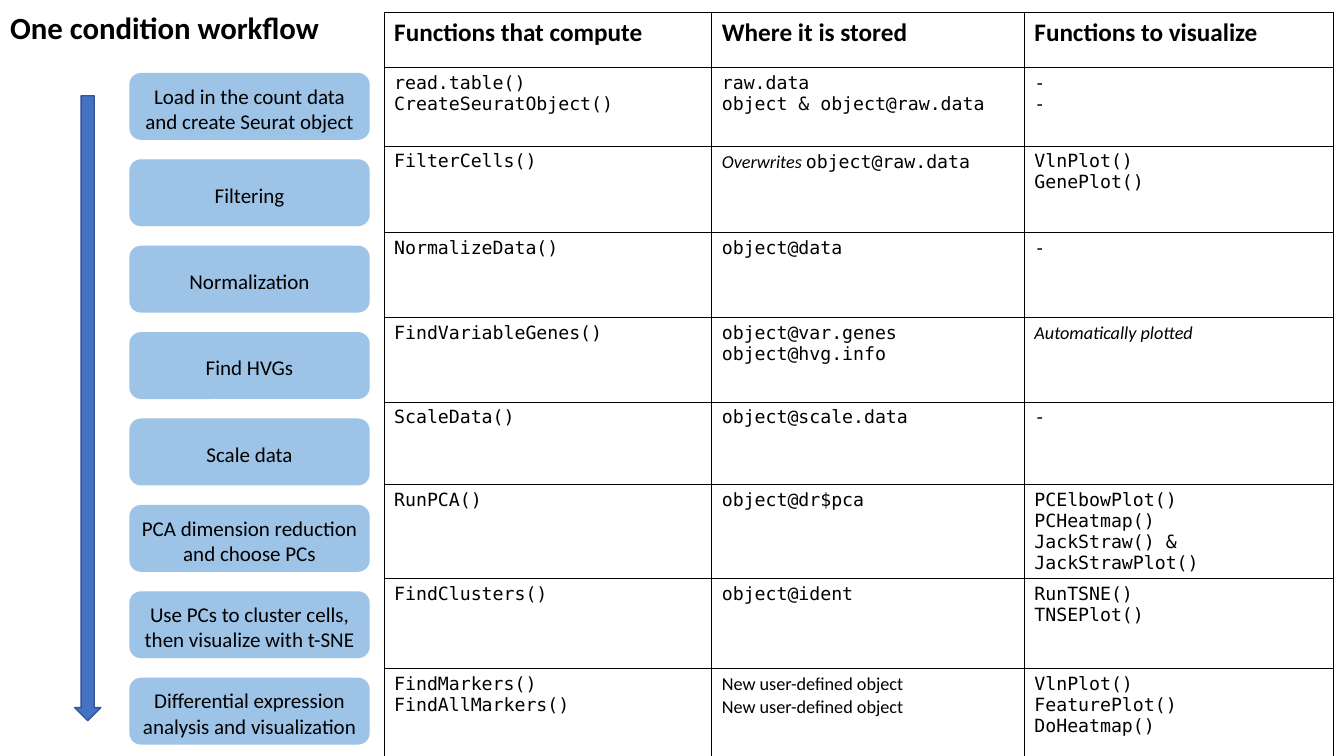
from lxml import etree
from pptx import Presentation
from pptx.dml.color import RGBColor
from pptx.enum.shapes import MSO_SHAPE
from pptx.enum.text import MSO_ANCHOR, MSO_AUTO_SIZE, PP_ALIGN
from pptx.oxml.ns import qn
from pptx.util import Inches, Pt

ROUNDED, DOWN_ARROW = MSO_SHAPE.ROUNDED_RECTANGLE, MSO_SHAPE.DOWN_ARROW
TOP, MIDDLE = MSO_ANCHOR.TOP, MSO_ANCHOR.MIDDLE
LEFT, CENTER = PP_ALIGN.LEFT, PP_ALIGN.CENTER
NO_AUTOFIT = MSO_AUTO_SIZE.NONE

BLACK = RGBColor(0x00, 0x00, 0x00)
STEP_BLUE = RGBColor(0x9D, 0xC3, 0xE6)
ARROW_BLUE = RGBColor(0x44, 0x72, 0xC4)
ARROW_EDGE = RGBColor(0x32, 0x54, 0x91)
SANS, MONO = "Calibri", "DejaVu Sans Mono"

PLAIN = {"font": SANS}
NOTE = {"font": SANS, "italic": True}

TITLE = "One condition workflow"
STEPS = [
    "Load in the count data and create Seurat object",
    "Filtering",
    "Normalization",
    "Find HVGs",
    "Scale data",
    "PCA dimension reduction and choose PCs",
    "Use PCs to cluster cells, then visualize with t-SNE",
    "Differential expression analysis and visualization",
]
HEADINGS = ["Functions that compute", "Where it is stored", "Functions to visualize"]
# Each cell is a list of lines; a line is a string or a list of (text, format) runs.
NEW_OBJECT = [("New user-defined object", PLAIN)]
FUNCTIONS = [
    (["read.table()", "CreateSeuratObject()"],
     ["raw.data", "object & object@raw.data"],
     ["-", "-"]),
    (["FilterCells()"],
     [[("Overwrites ", NOTE), ("object@raw.data", {})]],
     ["VlnPlot()", "GenePlot()"]),
    (["NormalizeData()"], ["object@data"], ["-"]),
    (["FindVariableGenes()"],
     ["object@var.genes", "object@hvg.info"],
     [[("Automatically plotted", NOTE)]]),
    (["ScaleData()"], ["object@scale.data"], ["-"]),
    (["RunPCA()"],
     ["object@dr$pca"],
     ["PCElbowPlot()", "PCHeatmap()", "JackStraw() & JackStrawPlot()"]),
    (["FindClusters()"], ["object@ident"], ["RunTSNE()", "TNSEPlot()"]),
    (["FindMarkers()", "FindAllMarkers()"],
     [NEW_OBJECT, NEW_OBJECT],
     ["VlnPlot()", "FeaturePlot()", "DoHeatmap()"]),
]

COLUMN_WIDTHS = [3.25, 3.1, 3.07]
ROW_HEIGHTS = [0.55, 0.78, 0.86, 0.84, 0.84, 0.82, 0.85, 0.89, 0.89]
TABLE_LEFT, TABLE_TOP = 3.81, 0.12
STEP_LEFT, STEP_WIDTH, STEP_HEIGHT = 1.29, 2.37, 0.65
FIRST_STEP_TOP, LAST_STEP_TOP = 0.73, 6.73


def write(frame, lines, size, font=SANS, bold=False, italic=False, align=LEFT):
    """Fill a text frame with one paragraph per line."""
    frame.word_wrap = True
    for number, line in enumerate(lines):
        paragraph = frame.add_paragraph() if number else frame.paragraphs[0]
        paragraph.alignment = align
        for words, changes in [(line, {})] if isinstance(line, str) else line:
            run = paragraph.add_run()
            run.text = words
            run.font.size = Pt(size)
            run.font.name = changes.get("font", font)
            run.font.bold = bold
            run.font.italic = changes.get("italic", italic)
            run.font.color.rgb = BLACK


def add_block(slide, kind, left, top, width, height, fill, edge):
    """Add a filled preset shape without a shadow."""
    block = slide.shapes.add_shape(
        kind, Inches(left), Inches(top), Inches(width), Inches(height))
    block.shadow.inherit = False
    block.fill.solid()
    block.fill.fore_color.rgb = fill
    block.line.color.rgb = edge
    block.line.width = Pt(1)
    return block


def add_title(slide):
    """Place the slide title in the top left corner."""
    title = slide.shapes.title
    title.left, title.top = Inches(0), Inches(0.04)
    title.width, title.height = Inches(3.36), Inches(0.47)
    write(title.text_frame, [TITLE], 22, bold=True)
    title.text_frame.vertical_anchor = TOP
    title.text_frame.auto_size = NO_AUTOFIT


def add_steps(slide):
    """Stack the workflow steps at equal distances."""
    pitch = (LAST_STEP_TOP - FIRST_STEP_TOP) / (len(STEPS) - 1)
    for number, step in enumerate(STEPS):
        block = add_block(slide, ROUNDED, STEP_LEFT, FIRST_STEP_TOP + number * pitch,
                          STEP_WIDTH, STEP_HEIGHT, STEP_BLUE, STEP_BLUE)
        frame = block.text_frame
        frame.margin_left = frame.margin_right = Inches(0.08)
        frame.margin_top, frame.margin_bottom = Inches(0.04), Inches(0)
        frame.vertical_anchor = MIDDLE
        write(frame, [step], 15, align=CENTER)


def outline(cell):
    """Draw a thin black border on all four sides of a cell."""
    properties = cell._tc.get_or_add_tcPr()
    for position, side in enumerate(("a:lnL", "a:lnR", "a:lnT", "a:lnB")):
        border = etree.Element(qn(side), w=str(Pt(1)))
        fill = etree.SubElement(border, qn("a:solidFill"))
        etree.SubElement(fill, qn("a:srgbClr"), val=str(BLACK))
        properties.insert(position, border)


def add_function_table(slide):
    """Add the table of functions, storage places and plots."""
    table = slide.shapes.add_table(
        len(ROW_HEIGHTS), len(COLUMN_WIDTHS), Inches(TABLE_LEFT), Inches(TABLE_TOP),
        Inches(sum(COLUMN_WIDTHS)), Inches(sum(ROW_HEIGHTS))).table
    table.first_row = table.horz_banding = False
    for column, width in zip(table.columns, COLUMN_WIDTHS):
        column.width = Inches(width)
    for row, height in zip(table.rows, ROW_HEIGHTS):
        row.height = Inches(height)
    for column, heading in enumerate(HEADINGS):
        write(table.cell(0, column).text_frame, [heading], 18, bold=True)
    for row, entries in enumerate(FUNCTIONS, start=1):
        for column, lines in enumerate(entries):
            write(table.cell(row, column).text_frame, lines, 13, font=MONO)
    for cell in table.iter_cells():
        cell.fill.background()
        outline(cell)


presentation = Presentation()
presentation.slide_width, presentation.slide_height = Inches(13.33), Inches(7.5)
workflow = presentation.slides.add_slide(presentation.slide_layouts[5])
add_title(workflow)
add_steps(workflow)
add_function_table(workflow)
add_block(workflow, DOWN_ARROW, 0.74, 0.95, 0.26, 6.2, ARROW_BLUE, ARROW_EDGE)
presentation.save("out.pptx")
